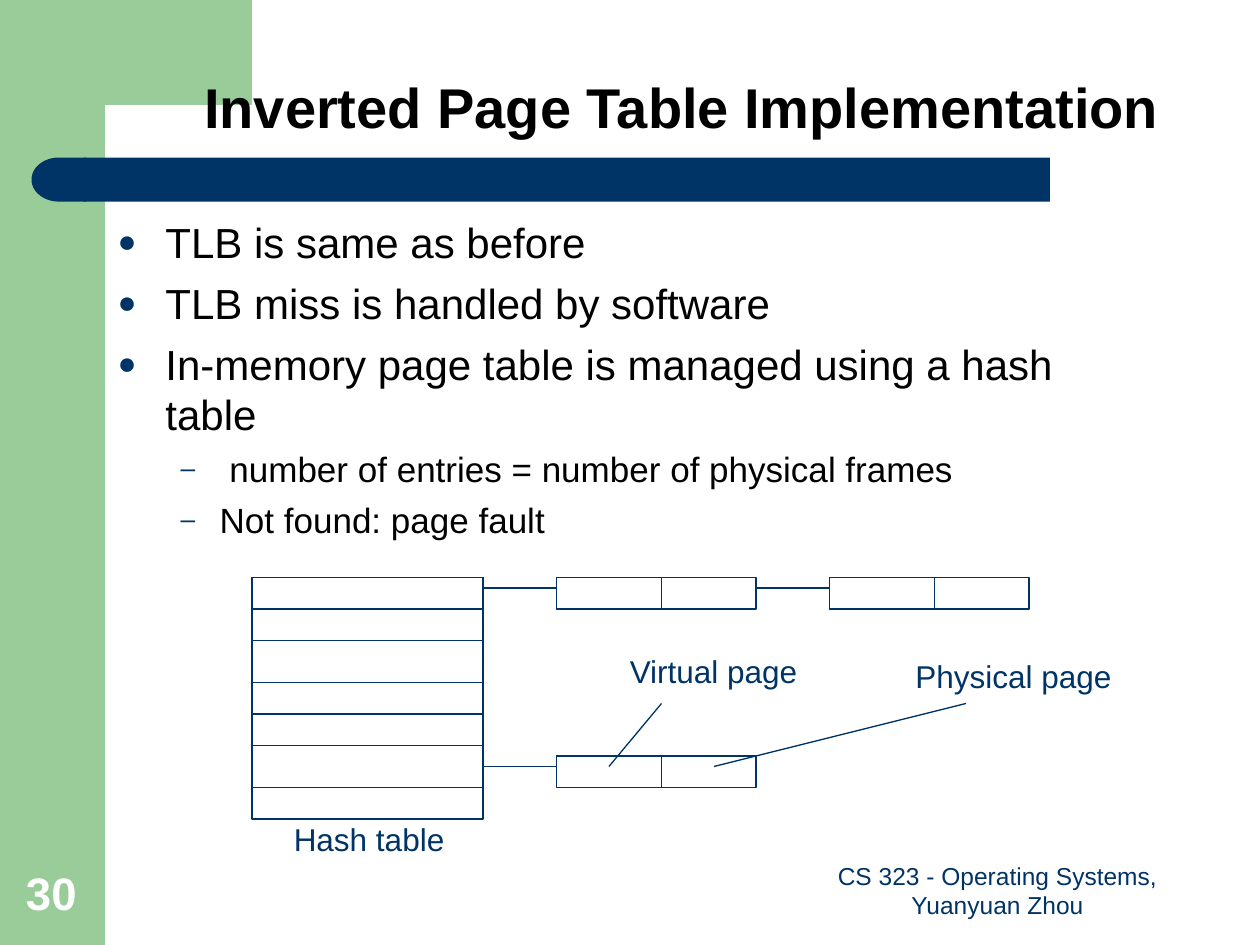
from itertools import accumulate
from lxml.etree import SubElement
from pptx import Presentation
from pptx.dml.color import RGBColor
from pptx.enum.shapes import MSO_CONNECTOR, MSO_SHAPE
from pptx.enum.text import MSO_ANCHOR, MSO_AUTO_SIZE, PP_ALIGN
from pptx.oxml.ns import qn
from pptx.util import Inches, Pt

COLUMNS, ROWS = 120, 90
NAVY, GREEN, BLACK, WHITE = "003366", "99CC99", "000000", "FFFFFF"
CELL_HEIGHT = 3


def color(value):
    return RGBColor.from_string(value)


def grid(*cells):
    return [Inches(cell * 10 / COLUMNS) for cell in cells]


def place(shape, box):
    shape.left, shape.top, shape.width, shape.height = grid(*box)


def style_font(paragraph, size, ink, bold=False):
    font = paragraph.font
    font.name, font.size, font.bold = "Arial", Pt(size), bold
    font.color.rgb = color(ink)


def paint(shape, fill):
    shape.shadow.inherit = False
    shape.fill.solid()
    shape.fill.fore_color.rgb = color(fill)
    shape.line.fill.background()


def add_block(slide, kind, box, fill):
    shape = slide.shapes.add_shape(kind, *grid(*box))
    paint(shape, fill)
    return shape


def add_cell(slide, box):
    shape = slide.shapes.add_shape(MSO_SHAPE.RECTANGLE, *grid(*box))
    shape.shadow.inherit = False
    shape.fill.background()
    shape.line.color.rgb = color(NAVY)
    shape.line.width = Pt(0.75)


def add_line(slide, start, end):
    line = slide.shapes.add_connector(MSO_CONNECTOR.STRAIGHT, *grid(*start, *end))
    line.line.color.rgb = color(NAVY)
    line.line.width = Pt(0.75)
    SubElement(line.element.spPr, qn("a:effectLst"))


def add_text(slide, text, box, size, ink, bold=False, align=PP_ALIGN.LEFT, anchor=MSO_ANCHOR.TOP):
    text_box = slide.shapes.add_textbox(*grid(*box))
    frame = text_box.text_frame
    frame.word_wrap, frame.auto_size = True, MSO_AUTO_SIZE.NONE
    frame.vertical_anchor = anchor
    paragraph = frame.paragraphs[0]
    paragraph.text, paragraph.alignment = text, align
    style_font(paragraph, size, ink, bold)


def add_backdrop(slide, box):
    left, top, width, height = box
    add_block(slide, MSO_SHAPE.RECTANGLE, (left, top, width / 12, height), GREEN)
    outline = [(24, 0), (24, 10), (10, 10), (9.2, 10.2), (8.5, 11), (8.1, 12.5),
               (8, 14), (8, 15.3), (6, 15.3), (6, 0)]
    points = [tuple(grid(left + x, top + y)) for x, y in outline]
    builder = slide.shapes.build_freeform(*points[0], scale=1.0)
    builder.add_line_segments(points[1:], close=True)
    paint(builder.convert_to_shape(), GREEN)
    add_block(slide, MSO_SHAPE.RECTANGLE, (left + 8, top + 15, 92, 4.2), NAVY)
    cap = add_block(slide, MSO_SHAPE.FLOWCHART_DELAY, (left + 3, top + 15, 5.2, 4.2), NAVY)
    cap.element.spPr.find(qn("a:xfrm")).set("flipH", "1")


def fill_title(slide, text, box):
    title = slide.shapes.title
    slide.shapes.element.append(title.element)
    place(title, box)
    frame = title.text_frame
    frame.text = text
    frame.word_wrap, frame.auto_size = True, MSO_AUTO_SIZE.NONE
    frame.vertical_anchor = MSO_ANCHOR.BOTTOM
    paragraph = frame.paragraphs[0]
    paragraph.alignment, paragraph.line_spacing = PP_ALIGN.CENTER, 0.9
    style_font(paragraph, 32, BLACK, True)


def add_bullet(paragraph, mark, margin, hanging):
    properties = paragraph._p.get_or_add_pPr()
    properties.set("marL", str(Inches(margin)))
    properties.set("indent", str(-Inches(hanging)))
    bullet_color = SubElement(properties, qn("a:buClr"))
    SubElement(bullet_color, qn("a:srgbClr"), val=NAVY)
    SubElement(properties, qn("a:buSzPct"), val="75000")
    SubElement(properties, qn("a:buFont"), typeface="Arial")
    SubElement(properties, qn("a:buChar"), char=mark)


def fill_body(slide, items, box):
    body = slide.placeholders[1]
    slide.shapes.element.append(body.element)
    place(body, box)
    frame = body.text_frame
    frame.word_wrap, frame.auto_size = True, MSO_AUTO_SIZE.NONE
    frame.vertical_anchor = MSO_ANCHOR.TOP
    levels = [("●", 0.38, 0.38, 24, 6), ("–", 0.81, 0.31, 20, 5)]
    for index, (level, text) in enumerate(items):
        paragraph = frame.add_paragraph() if index else frame.paragraphs[0]
        mark, margin, hanging, size, gap = levels[level]
        paragraph.text, paragraph.level = text, level
        add_bullet(paragraph, mark, margin, hanging)
        paragraph.space_before = Pt(gap if index else 0)
        style_font(paragraph, size, BLACK)


def add_entry(slide, left, top, link_start):
    add_cell(slide, (left, top, 19, CELL_HEIGHT))
    add_cell(slide, (left, top, 10, CELL_HEIGHT))
    add_line(slide, (link_start, top + 1), (left, top + 1))


def add_hash_diagram(slide, box):
    left, top, width, height = box
    add_cell(slide, (left, top, 22, height))
    row_heights = [3, 3, 4, 3, 3, 4]
    for row_height, bottom in zip(row_heights, accumulate(row_heights)):
        add_cell(slide, (left, top + bottom - row_height, 22, row_height))
    first, second = left + 29, left + 55
    lower = top + 17
    add_entry(slide, first, top, left + 22)
    add_entry(slide, second, top, first + 19)
    add_entry(slide, first, lower, left + 22)
    add_line(slide, (first + 5, lower + 1), (first + 10, lower - 5))
    add_line(slide, (first + 15, lower + 1), (left + 68, lower - 5))
    labels = [("Hash table", 2.8, 22.5, 18), ("Virtual page", 34.8, 6.5, 20),
              ("Physical page", 62, 7, 23)]
    for text, column, row, label_width in labels:
        add_text(slide, text, (left + column, top + row, label_width, 4.8), 18, NAVY)


def add_footer(slide, box):
    left, top, width, height = box
    add_text(slide, "CS 323 - Operating Systems, Yuanyuan Zhou",
             (left + 76, top, 38, height), 14, NAVY,
             align=PP_ALIGN.CENTER, anchor=MSO_ANCHOR.BOTTOM)
    add_text(slide, "30", (left + 1.3, top, 7.7, height), 26, WHITE,
             bold=True, anchor=MSO_ANCHOR.BOTTOM)


def main():
    presentation = Presentation()
    presentation.slide_width, presentation.slide_height = grid(COLUMNS, ROWS)
    slide = presentation.slides.add_slide(presentation.slide_layouts[1])
    add_backdrop(slide, (0, 0, COLUMNS, ROWS))
    fill_title(slide, "Inverted Page Table Implementation", (13.9, 1, 102.1, 13))
    fill_body(slide, [
        (0, "TLB is same as before"),
        (0, "TLB miss is handled by software"),
        (0, "In-memory page table is managed using a hash table"),
        (1, " number of entries = number of physical frames"),
        (1, "Not found: page fault"),
    ], (10, 20, 101, 62))
    add_hash_diagram(slide, (24, 55, 83, 23))
    add_footer(slide, (0, 82, COLUMNS, 6.2))
    presentation.save("out.pptx")


if __name__ == "__main__":
    main()
